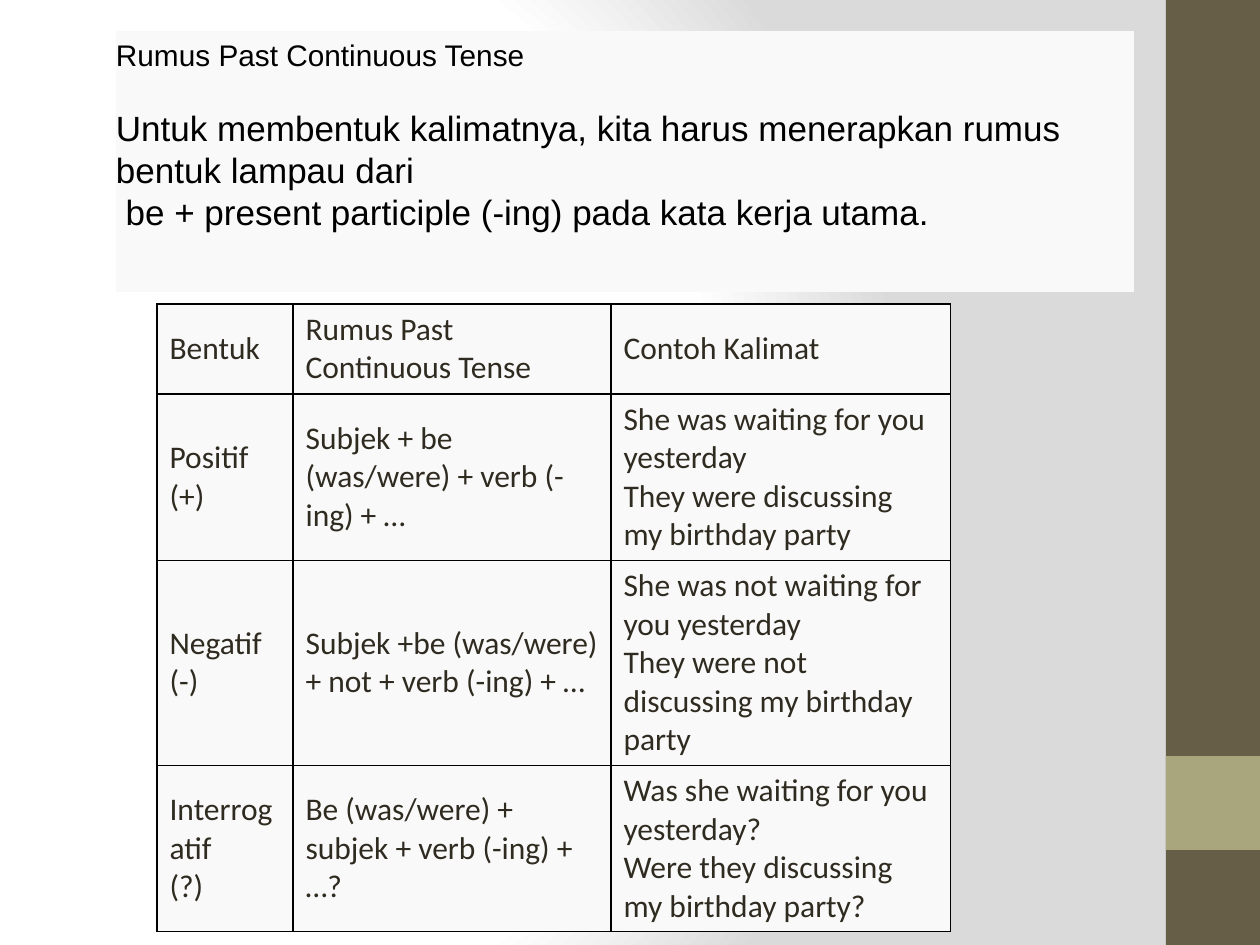
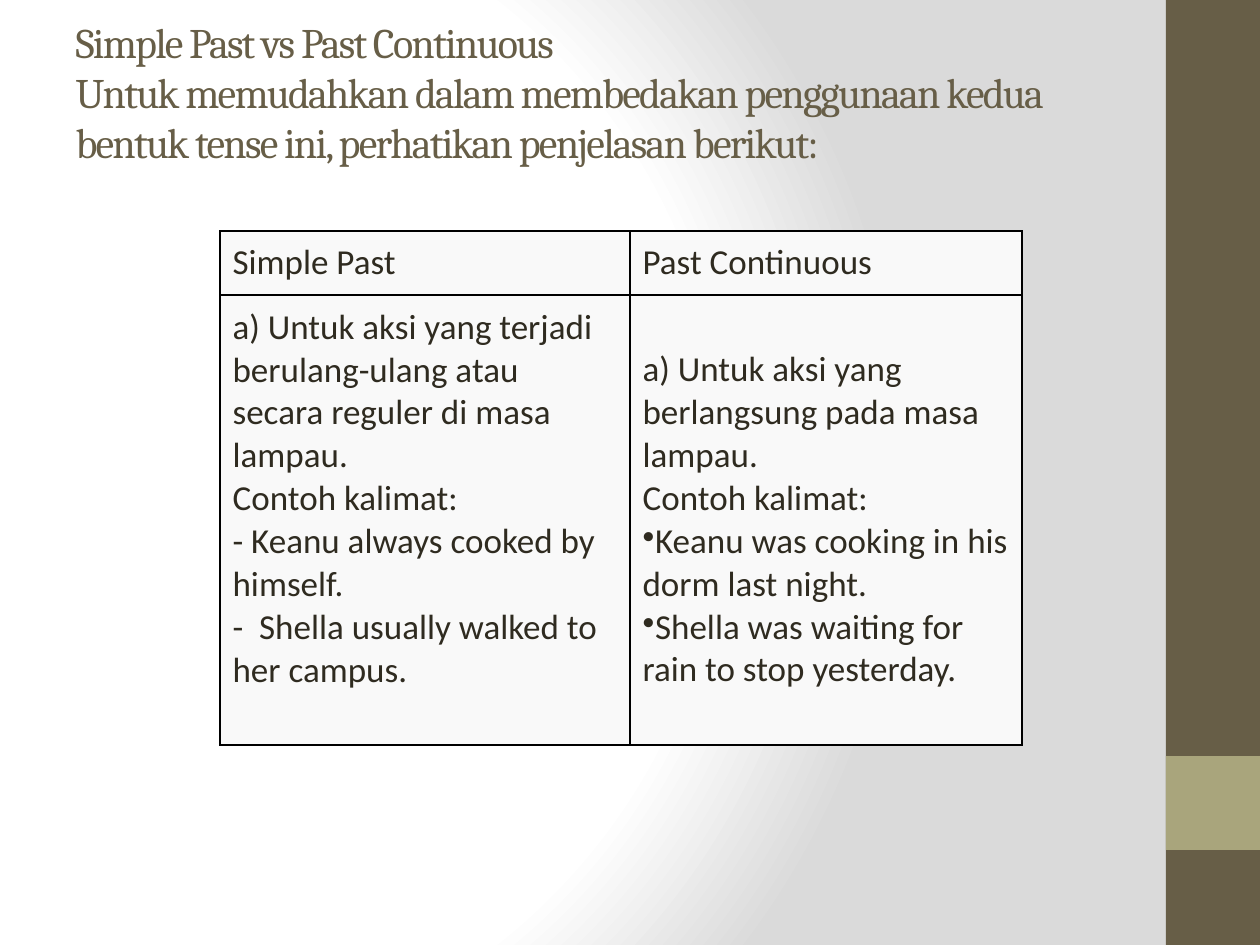
from collections import namedtuple

from lxml.etree import SubElement
from pptx import Presentation
from pptx.dml.color import RGBColor
from pptx.enum.shapes import MSO_SHAPE
from pptx.enum.text import MSO_ANCHOR, MSO_AUTO_SIZE, PP_ALIGN
from pptx.oxml import parse_xml
from pptx.oxml.ns import nsdecls, qn
from pptx.util import Emu, Pt

BROWN = RGBColor(0x67, 0x5E, 0x47)
KHAKI = RGBColor(0xA9, 0xA5, 0x7C)
INK = RGBColor(0x2F, 0x2B, 0x20)
BLACK = RGBColor(0, 0, 0)
PANEL = RGBColor(0xF9, 0xF9, 0xF9)
WHITE = RGBColor(0xFF, 0xFF, 0xFF)
SILVER = RGBColor(0xDA, 0xDA, 0xDA)

TITLE_FONT, BODY_FONT, INTRO_FONT = "Cambria", "Calibri", "Arial"
TITLE_ONLY, BLANK = 5, 6
BULLET = "•"

Box = namedtuple("Box", "left top width height")
PAGE = Box(0, 0, 1260, 945)

FORMULA_ROWS = [
    ["Bentuk", "Rumus Past Continuous Tense", "Contoh Kalimat"],
    ["Positif\n(+)", "Subjek + be (was/were) + verb (-ing) + …",
     ["She was waiting for you yesterday",
      "They were discussing my birthday party"]],
    ["Negatif\n(-)", "Subjek +be (was/were) + not + verb (-ing) + …",
     ["She was not waiting for you yesterday",
      "They were not discussing my birthday party"]],
    ["Interrogatif\n(?)", "Be (was/were) + subjek + verb (-ing) + …?",
     ["Was she waiting for you yesterday?",
      "Were they discussing my birthday party?"]],
]
COMPARISON_ROWS = [
    ["Simple Past", "Past Continuous"],
    [["a) Untuk aksi yang terjadi berulang-ulang atau secara reguler di masa lampau.",
      "Contoh kalimat:",
      "- Keanu always cooked by himself.",
      "-  Shella usually walked to her campus."],
     ["a) Untuk aksi yang berlangsung pada masa lampau.",
      "Contoh kalimat:",
      BULLET + "Keanu was cooking in his dorm last night.",
      BULLET + "Shella was waiting for rain to stop yesterday."]],
]


def px(count):
    return Emu(round(count * 914400 / 126))


def place(box):
    return [px(length) for length in box]


def add_span(para, text, size, font, color):
    """Adds the text to the paragraph, with a line break at each newline."""
    spans = []
    for index, line in enumerate(text.split("\n")):
        if index:
            para.add_line_break()
        span = para.add_run()
        span.text = line
        span.font.size = Pt(size)
        span.font.name = font
        span.font.color.rgb = color
        spans.append(span)
    return spans


def next_para(frame, index):
    para = frame.add_paragraph() if index else frame.paragraphs[0]
    para.alignment = PP_ALIGN.LEFT
    return para


def add_panel(slide, box, color):
    panel = slide.shapes.add_shape(MSO_SHAPE.RECTANGLE, *place(box))
    panel.shadow.inherit = False
    panel.fill.solid()
    panel.fill.fore_color.rgb = color
    panel.line.fill.background()
    return panel


def add_background(slide):
    slide.background.fill.solid()
    holder = slide.element.xpath(".//p:bgPr")[0]
    stops = "".join(
        f'<a:gs pos="{percent * 1000}"><a:srgbClr val="{color}"/></a:gs>'
        for percent, color in [(0, WHITE), (75, WHITE), (100, SILVER)])
    holder.replace(holder[0], parse_xml(
        f'<a:gradFill {nsdecls("a")} rotWithShape="1"><a:gsLst>{stops}</a:gsLst>'
        '<a:path path="circle"><a:fillToRect l="20000" t="50000" r="100000" b="50000"/>'
        '</a:path></a:gradFill>'))


def add_side_band(slide, box):
    add_panel(slide, box, BROWN)
    accent_top = box.top + box.height * 4 // 5
    add_panel(slide, Box(box.left, accent_top, box.width, box.height // 10), KHAKI)


def start_slide(deck, layout):
    slide = deck.slides.add_slide(deck.slide_layouts[layout])
    add_background(slide)
    add_side_band(slide, Box(1166, PAGE.top, 94, PAGE.height))
    return slide


def border_cell(cell):
    properties = cell._tc.get_or_add_tcPr()
    for index, side in enumerate(["lnL", "lnR", "lnT", "lnB"]):
        line = parse_xml(
            f'<a:{side} {nsdecls("a")} w="{Pt(0.75)}"><a:solidFill>'
            f'<a:srgbClr val="{BLACK}"/></a:solidFill></a:{side}>')
        properties.insert(index, line)


def fill_cell(cell, content, size):
    cell.fill.solid()
    cell.fill.fore_color.rgb = PANEL
    cell.vertical_anchor = MSO_ANCHOR.MIDDLE
    border_cell(cell)
    lines = [content] if isinstance(content, str) else content
    for index, line in enumerate(lines):
        para = next_para(cell.text_frame, index)
        if line.startswith(BULLET):
            SubElement(para._p.get_or_add_pPr(), qn("a:buChar")).set("char", BULLET)
        add_span(para, line.removeprefix(BULLET), size, BODY_FONT, INK)


def add_grid(slide, left, top, widths, heights, rows, size):
    box = Box(left, top, sum(widths), sum(heights))
    grid = slide.shapes.add_table(len(rows), len(widths), *place(box)).table
    grid.first_row = grid.horz_banding = False
    for column, width in zip(grid.columns, widths):
        column.width = px(width)
    for row, height, contents in zip(grid.rows, heights, rows):
        row.height = px(height)
        for cell, content in zip(row.cells, contents):
            fill_cell(cell, content, size)
    return grid


def add_intro(slide, box):
    frame = add_panel(slide, box, PANEL).text_frame
    frame.word_wrap = True
    frame.vertical_anchor = MSO_ANCHOR.MIDDLE
    frame.margin_left = frame.margin_top = frame.margin_right = 0
    frame.margin_bottom = px(53)
    lines = [
        ("Rumus Past Continuous Tense", 17),
        ("Untuk membentuk kalimatnya, kita harus menerapkan rumus bentuk lampau dari", 20),
        (" be + present participle (-ing) pada kata kerja utama.", 20),
    ]
    for index, (text, size) in enumerate(lines):
        add_span(next_para(frame, index), text, size, INTRO_FONT, BLACK)
    frame.paragraphs[0].space_after = Pt(19.5)


def add_title(slide, box, text):
    title = slide.shapes.title
    title.left, title.top, title.width, title.height = place(box)
    frame = title.text_frame
    frame.word_wrap = True
    frame.auto_size = MSO_AUTO_SIZE.NONE
    frame.vertical_anchor = MSO_ANCHOR.MIDDLE
    frame.margin_bottom = px(56)
    for span in add_span(next_para(frame, 0), text, 24, TITLE_FONT, BROWN):
        span.font._element.set("spc", "-100")


def build_formula_slide(deck, box):
    slide = start_slide(deck, BLANK)
    add_grid(slide, box.left + 157, box.top + 304, [136, 318, 340],
             [90, 166, 205, 166], FORMULA_ROWS, 18)
    add_intro(slide, Box(box.left + 116, box.top + 31, 1018, 261))


def build_comparison_slide(deck, box):
    slide = start_slide(deck, TITLE_ONLY)
    add_title(slide, Box(box.left + 63, box.top + 38, 1050, 157),
              "Simple Past vs Past Continuous\nUntuk memudahkan dalam membedakan "
              "penggunaan kedua bentuk tense ini, perhatikan penjelasan berikut:")
    grid = add_grid(slide, box.left + 220, box.top + 231, [410, 392],
                    [64, 450], COMPARISON_ROWS, 20)
    grid.cell(1, 0).margin_bottom = px(49)


def main():
    deck = Presentation()
    deck.slide_width, deck.slide_height = px(PAGE.width), px(PAGE.height)
    build_formula_slide(deck, PAGE)
    build_comparison_slide(deck, PAGE)
    deck.save("out.pptx")


if __name__ == "__main__":
    main()
